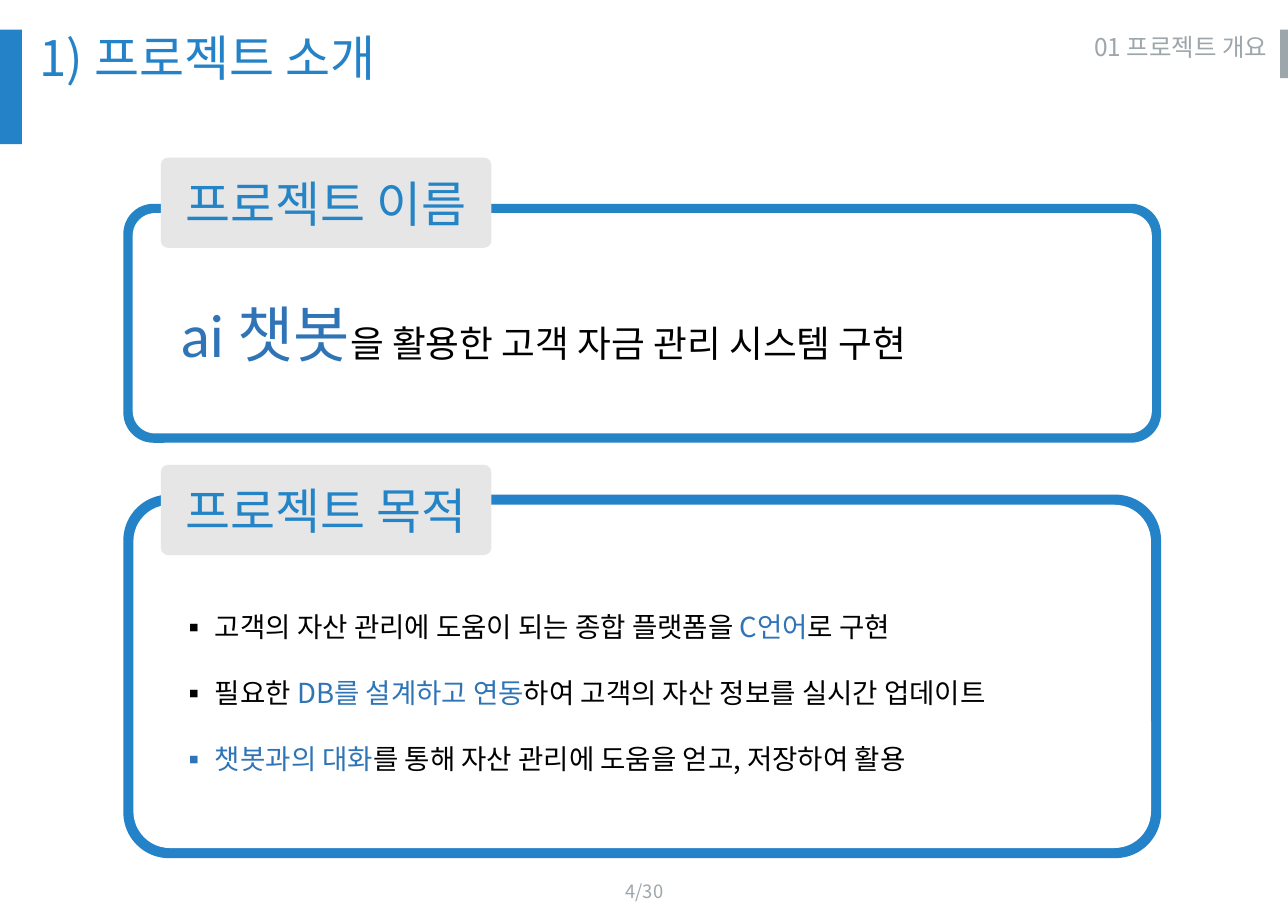
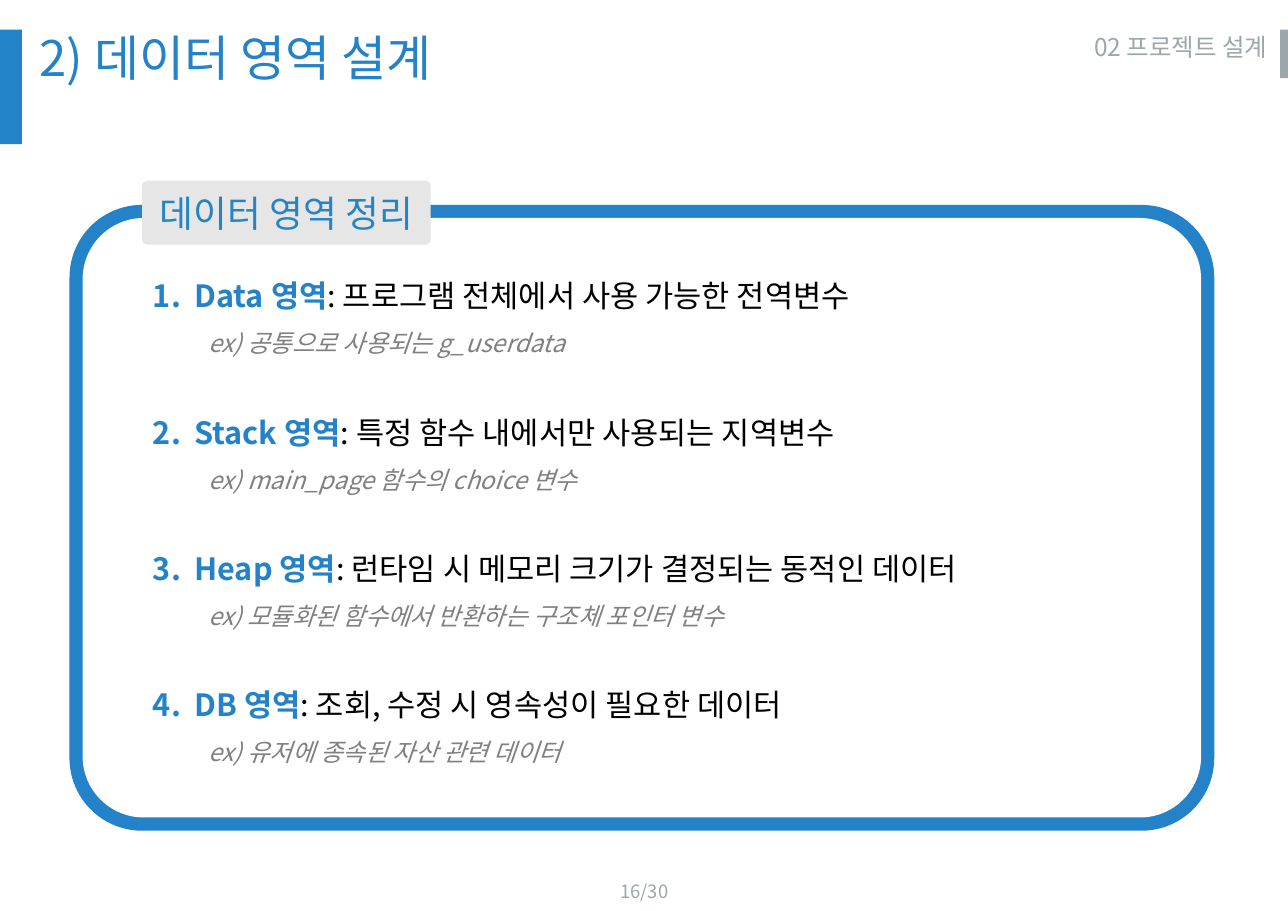
from dataclasses import dataclass

from lxml import etree
from pptx import Presentation
from pptx.dml.color import RGBColor
from pptx.enum.shapes import MSO_SHAPE
from pptx.enum.text import MSO_ANCHOR, PP_ALIGN
from pptx.oxml.ns import qn
from pptx.util import Pt

RECT, ROUND = MSO_SHAPE.RECTANGLE, MSO_SHAPE.ROUNDED_RECTANGLE
TOP, MIDDLE = MSO_ANCHOR.TOP, MSO_ANCHOR.MIDDLE
LEFT, CENTER, RIGHT = PP_ALIGN.LEFT, PP_ALIGN.CENTER, PP_ALIGN.RIGHT

BLUE = RGBColor(0x24, 0x82, 0xC8)
TAG_BLUE = RGBColor(0x24, 0x84, 0xC6)
ACCENT = RGBColor(0x2E, 0x74, 0xB6)
GRAY = RGBColor(0x9D, 0xA6, 0xAB)
EXAMPLE_GRAY = RGBColor(0x80, 0x80, 0x80)
TAG_FILL = RGBColor(0xE7, 0xE6, 0xE6)
WHITE = RGBColor(0xFF, 0xFF, 0xFF)
BLACK = RGBColor(0, 0, 0)

FONT = "Noto Sans CJK KR"
LATIN = "Calibri"
WIDTH, HEIGHT = 841.7, 595.4
BAND_TOP = 19.4


@dataclass(frozen=True)
class Box:
    x: float
    y: float
    w: float
    h: float

    def inset(self, d: float) -> "Box":
        return Box(self.x + d, self.y + d, self.w - 2 * d, self.h - 2 * d)

    def lengths(self) -> tuple[Pt, ...]:
        return tuple(Pt(v) for v in (self.x, self.y, self.w, self.h))


@dataclass(frozen=True)
class Run:
    text: str
    size: float
    color: RGBColor = BLACK
    name: str = FONT
    bold: bool = False
    italic: bool = False


@dataclass(frozen=True)
class Para:
    runs: list[Run]
    align: PP_ALIGN = LEFT
    spacing: float = 1.0
    before: float = 0
    level: int = 0
    margin: float = 0
    hanging: float = 0
    bullet: str = ""  # a character, or "1." for automatic numbers


@dataclass(frozen=True)
class Panel:
    frame: Box
    line: float
    color: RGBColor
    outer_adj: float
    inner_adj: float
    tag: Box
    label: str
    label_size: float


# Text
def add_bullet(pPr, bullet: str) -> None:
    etree.SubElement(pPr, qn("a:buFont"), typeface=FONT)
    if bullet == "1.":
        etree.SubElement(pPr, qn("a:buAutoNum"), type="arabicPeriod")
    else:
        etree.SubElement(pPr, qn("a:buChar"), char=bullet)


def fill_text(tf, paras: list[Para], anchor: MSO_ANCHOR = TOP) -> None:
    tf.word_wrap = True
    tf.vertical_anchor = anchor
    for i, para in enumerate(paras):
        p = tf.add_paragraph() if i else tf.paragraphs[0]
        formats = {"alignment": para.align, "line_spacing": para.spacing,
                   "space_before": Pt(para.before), "level": para.level}
        for key, value in formats.items():
            setattr(p, key, value)
        pPr = p._p.get_or_add_pPr()
        pPr.set("marL", str(Pt(para.margin)))
        pPr.set("indent", str(Pt(-para.hanging)))
        if para.bullet:
            add_bullet(pPr, para.bullet)
        for run in para.runs:
            r = p.add_run()
            r.text = run.text
            for key in ("name", "bold", "italic"):
                setattr(r.font, key, getattr(run, key))
            r.font.size = Pt(run.size)
            r.font.color.rgb = run.color
            etree.SubElement(r._r.get_or_add_rPr(), qn("a:ea"), typeface=FONT)


def add_text(s, box: Box, paras: list[Para], anchor: MSO_ANCHOR = TOP) -> None:
    fill_text(s.shapes.add_textbox(*box.lengths()).text_frame, paras, anchor)


# Shapes
def add_block(s, kind: MSO_SHAPE, box: Box, color: RGBColor, adj: float = 0):
    sp = s.shapes.add_shape(kind, *box.lengths())
    sp.shadow.inherit = False
    sp.fill.solid()
    sp.fill.fore_color.rgb = color
    sp.line.fill.background()
    if kind == ROUND:
        sp.adjustments[0] = adj
    return sp


def add_panel(s, panel: Panel) -> None:
    add_block(s, ROUND, panel.frame, panel.color, panel.outer_adj)
    add_block(s, ROUND, panel.frame.inset(panel.line), WHITE, panel.inner_adj)
    sp = add_block(s, ROUND, panel.tag, TAG_FILL, 0.08)
    label = Run(panel.label, panel.label_size, TAG_BLUE)
    fill_text(sp.text_frame, [Para([label], CENTER)], MIDDLE)


# Parts shared by every slide
def new_slide(prs, title: str, section: str, page: str):
    s = prs.slides.add_slide(prs.slide_layouts[6])
    add_block(s, RECT, Box(0, BAND_TOP, 14.4, 74.9), BLUE)
    add_block(s, RECT, Box(WIDTH - 5.1, BAND_TOP, 5.1, 31.7), GRAY)
    add_text(s, Box(368.6, 570.2, 105.1, 24.5),
             [Para([Run(page, 12, GRAY)], CENTER)], MIDDLE)
    add_text(s, Box(656.6, BAND_TOP, 178.6, 31.7),
             [Para([Run(section, 16, GRAY)], RIGHT, 0.9)])
    add_text(s, Box(18.7, 18.7, 626.4, 50.4),
             [Para([Run(title, 32, BLUE)], spacing=0.9)])
    return s


# Slide: project introduction
def build_intro(prs) -> None:
    s = new_slide(prs, "1) 프로젝트 소개", "01 프로젝트 개요", "4/30")
    add_panel(s, Panel(Box(80.6, 133.2, 678.2, 156.2), 6.1, TAG_BLUE, 0.126, 0.102,
                       Box(105.1, 103, 216, 59), "프로젝트 이름", 32))
    add_panel(s, Panel(Box(80.6, 323.3, 678.2, 237.6), 6.6, BLUE, 0.126, 0.107,
                       Box(105.1, 303.8, 216, 59), "프로젝트 목적", 32))
    add_text(s, Box(110.9, 190.1, 586.8, 77.8), [Para([
        Run("ai 챗봇", 40, ACCENT, LATIN),
        Run("을 활용한 고객 자금 관리 시스템 구현", 24, name=LATIN)])])

    goals = [
        [("고객의 자산 관리에 도움이 되는 종합 플랫폼을 ", BLACK), ("C언어", ACCENT),
         ("로 구현", BLACK)],
        [("필요한 ", BLACK), ("DB를 설계하고 연동", ACCENT),
         ("하여 고객의 자산 정보를 실시간 업데이트", BLACK)],
        [("챗봇과의 대화", ACCENT),
         ("를 통해 자산 관리에 도움을 얻고, 저장하여 활용", BLACK)],
    ]
    add_text(s, Box(110.9, 373.7, 608.4, 138.2), [
        Para([Run(text, 18, color) for text, color in goal], spacing=2.0,
             margin=22.5, hanging=22.5, bullet="▪") for goal in goals])


# Slide: data areas
def build_data_areas(prs) -> None:
    s = new_slide(prs, "2) 데이터 영역 설계", "02 프로젝트 설계", "16/30")
    add_panel(s, Panel(Box(45.4, 133.9, 748.1, 409), 8.6, BLUE, 0.116, 0.102,
                       Box(92.9, 118.1, 188.6, 41.8), "데이터 영역 정리", 24))
    areas = [
        ("Data 영역", "프로그램 전체에서 사용 가능한 전역변수",
         "공통으로 사용되는 g_userdata"),
        ("Stack 영역", "특정 함수 내에서만 사용되는 지역변수",
         "main_page 함수의 choice 변수"),
        ("Heap 영역", "런타임 시 메모리 크기가 결정되는 동적인 데이터",
         "모듈화된 함수에서 반환하는 구조체 포인터 변수"),
        ("DB 영역", "조회, 수정 시 영속성이 필요한 데이터",
         "유저에 종속된 자산 관련 데이터"),
    ]
    paras = []
    for i, (area, meaning, example) in enumerate(areas):
        paras.append(Para([Run(area, 20, BLUE, bold=True), Run(f": {meaning}", 20)],
                          spacing=1.5, before=24.3 if i else 0,
                          margin=27, hanging=27, bullet="1."))
        paras.append(Para([Run(f"ex) {example}", 16, EXAMPLE_GRAY, italic=True)],
                          spacing=1.5, level=1, margin=36))
    add_text(s, Box(92.9, 165.6, 685.4, 365), paras)


def main() -> None:
    prs = Presentation()
    prs.slide_width, prs.slide_height = Pt(WIDTH), Pt(HEIGHT)
    build_intro(prs)
    build_data_areas(prs)
    prs.save("out.pptx")


if __name__ == "__main__":
    main()
